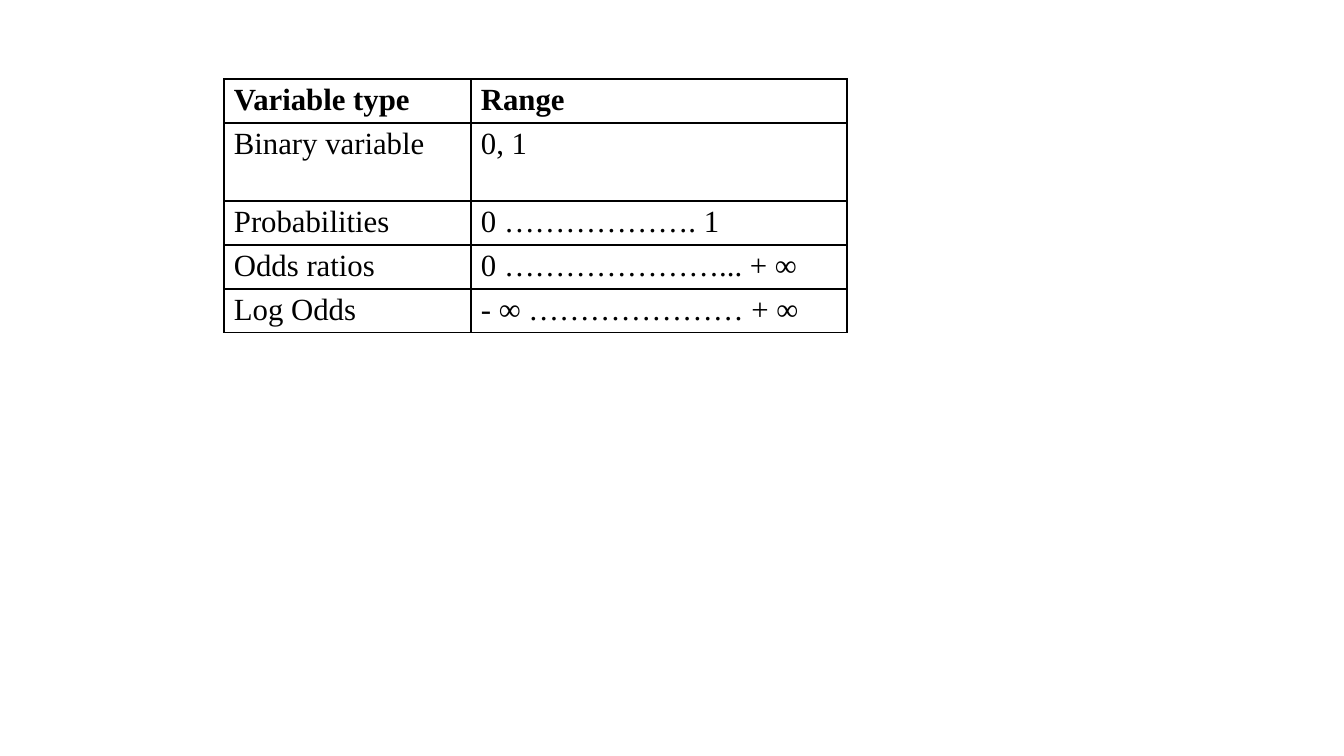
from dataclasses import dataclass

from lxml.etree import SubElement
from pptx import Presentation
from pptx.dml.color import RGBColor
from pptx.oxml.ns import qn
from pptx.util import Pt

SCALE = 914400 / 100.8  # EMU per pixel


@dataclass
class Theme:
    font: str = "Times New Roman"
    size: int = 22
    ink: str = "000000"
    border: int = 1


theme = Theme()


def px(pixels):
    return round(pixels * SCALE)


def add_borders(cell):
    properties = cell._tc.get_or_add_tcPr()
    for position, side in enumerate(("a:lnL", "a:lnR", "a:lnT", "a:lnB")):
        line = SubElement(properties, qn(side), w=str(Pt(theme.border)))
        fill = SubElement(line, qn("a:solidFill"))
        SubElement(fill, qn("a:srgbClr"), val=theme.ink)
        properties.insert(position, line)  # borders precede the cell fill


# Slide
presentation = Presentation()
presentation.slide_width, presentation.slide_height = px(1344), px(756)
slide = presentation.slides.add_slide(presentation.slide_layouts[6])

# Variable types and their ranges
rows = [
    ("Variable type", "Range"),
    ("Binary variable", "0, 1"),
    ("Probabilities", "0 " + "…" * 6 + ". 1"),
    ("Odds ratios", "0 " + "…" * 7 + "... + ∞"),
    ("Log Odds", "- ∞ " + "…" * 7 + " + ∞"),
]
column_widths = [247, 376]
row_heights = [44, 78, 44, 44, 44]

table = slide.shapes.add_table(
    len(rows), len(column_widths), px(224), px(79),
    px(sum(column_widths)), px(sum(row_heights))).table
table.horz_banding = False
for column, width in zip(table.columns, column_widths):
    column.width = px(width)

for row_index, (texts, height) in enumerate(zip(rows, row_heights)):
    table.rows[row_index].height = px(height)
    for column_index, text in enumerate(texts):
        cell = table.cell(row_index, column_index)
        cell.fill.background()
        cell.margin_left = cell.margin_right = px(10)
        cell.margin_top = cell.margin_bottom = px(4)
        add_borders(cell)
        cell.text = text
        font = cell.text_frame.paragraphs[0].font
        font.name, font.size = theme.font, Pt(theme.size)
        font.bold = row_index == 0
        font.color.rgb = RGBColor.from_string(theme.ink)

presentation.save("out.pptx")
